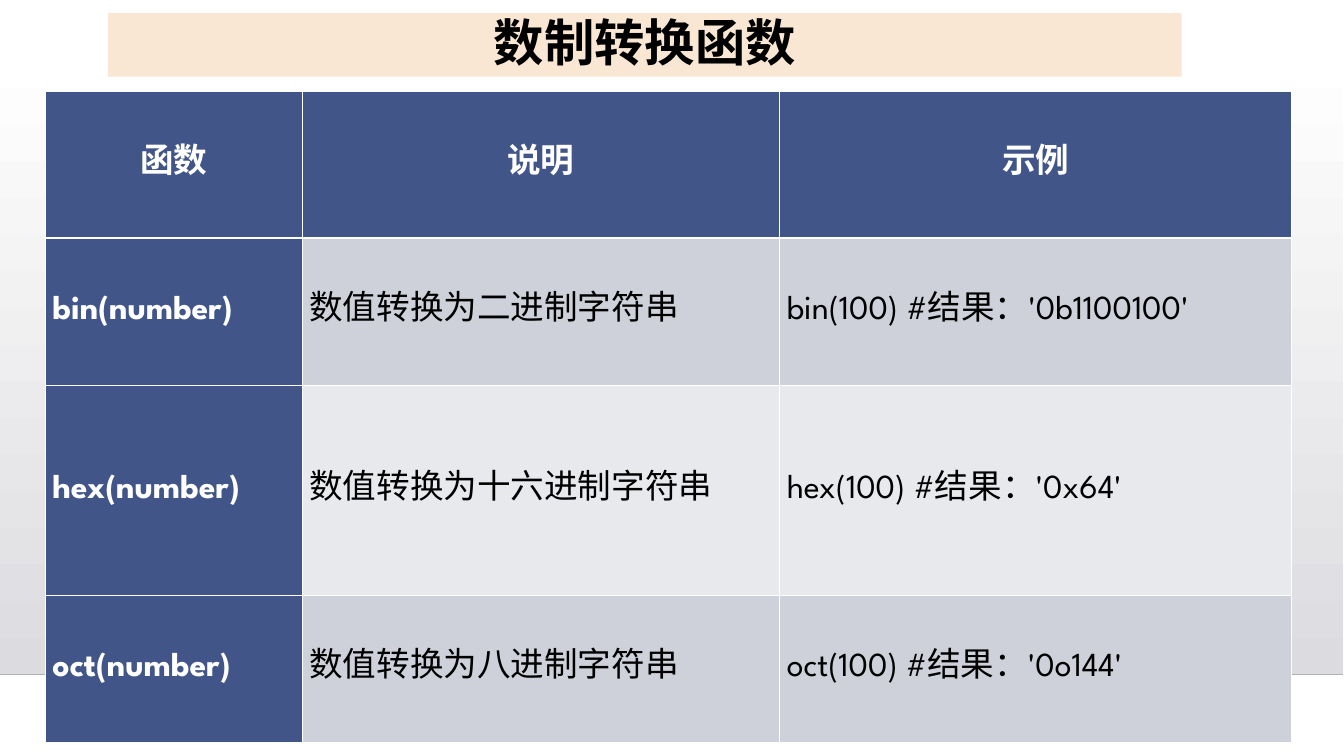
"""Build a slide with a table of number base conversion functions."""
from dataclasses import dataclass

from lxml import etree
from pptx import Presentation
from pptx.dml.color import RGBColor
from pptx.enum.shapes import MSO_CONNECTOR, MSO_SHAPE
from pptx.enum.text import MSO_ANCHOR, MSO_AUTO_SIZE, PP_ALIGN
from pptx.oxml.ns import qn
from pptx.util import Inches, Pt

RECTANGLE, STRAIGHT = MSO_SHAPE.RECTANGLE, MSO_CONNECTOR.STRAIGHT
MIDDLE, NO_AUTOFIT = MSO_ANCHOR.MIDDLE, MSO_AUTO_SIZE.NONE
CENTER, JUSTIFY = PP_ALIGN.CENTER, PP_ALIGN.JUSTIFY


@dataclass(frozen=True)
class Theme:
    """Colours, font and type sizes of the slide."""
    font: str = "League Spartan"
    title_size: int = 36
    table_size: int = 24
    white: str = "FFFFFF"
    black: str = "000000"
    backdrop: str = "DCDCE0"
    rule: str = "B0B0B3"
    title_fill: str = "F9E7D3"
    header: str = "415588"
    bands: tuple = ("CFD1DA", "E8E9ED")


THEME = Theme()


def format_text(paragraph, size, color, bold, alignment):
    """Apply alignment and font to a paragraph and its runs."""
    paragraph.alignment = alignment
    for run in paragraph.runs:
        run.font.size = Pt(size)
        run.font.bold = bold
        run.font.color.rgb = RGBColor.from_string(color)
        run.font.name = THEME.font
        east_asian = etree.SubElement(run.font._element, qn("a:ea"))
        east_asian.set("typeface", THEME.font)


def set_borders(cell, widths):
    """Draw white cell borders, in left, right, top, bottom order."""
    properties = cell._tc.get_or_add_tcPr()
    for index, (side, width) in enumerate(zip("LRTB", widths)):
        border = etree.Element(qn(f"a:ln{side}"), w=str(Pt(width)))
        fill = etree.SubElement(border, qn("a:solidFill"))
        etree.SubElement(fill, qn("a:srgbClr"), val=THEME.white)
        properties.insert(index, border)


presentation = Presentation()
presentation.slide_width = Inches(13.34)
presentation.slide_height = Inches(7.5)
slide = presentation.slides.add_slide(presentation.slide_layouts[5])

backdrop = slide.shapes.add_shape(RECTANGLE, 0, Inches(0.51), Inches(13.33), Inches(6.18))
backdrop.shadow.inherit = False
backdrop.line.fill.background()
backdrop.fill.gradient()
backdrop.fill.gradient_angle = 270
for stop, color in zip(backdrop.fill.gradient_stops, (THEME.white, THEME.backdrop)):
    stop.color.rgb = RGBColor.from_string(color)

floor_line = slide.shapes.add_connector(STRAIGHT, 0, Inches(6.69), Inches(13.33), Inches(6.69))
floor_line.line.color.rgb = RGBColor.from_string(THEME.rule)
floor_line.line.width = Pt(1)
etree.SubElement(floor_line.element.spPr, qn("a:effectLst"))

title = slide.shapes.title
floor_line.element.addnext(title.element)
title.left, title.top = Inches(1.07), Inches(0.13)
title.width, title.height = Inches(10.66), Inches(0.63)
title.fill.solid()
title.fill.fore_color.rgb = RGBColor.from_string(THEME.title_fill)
title.text_frame.text = "数制转换函数"
title.text_frame.auto_size = NO_AUTOFIT
title.text_frame.vertical_anchor = MIDDLE
title_paragraph = title.text_frame.paragraphs[0]
title_paragraph.line_spacing = 0.9
format_text(title_paragraph, THEME.title_size, THEME.black, True, CENTER)

functions = [
    ("函数", "说明", "示例"),
    ("bin(number)", "数值转换为二进制字符串", "bin(100) #结果：'0b1100100'"),
    ("hex(number)", "数值转换为十六进制字符串", "hex(100) #结果：'0x64'"),
    ("oct(number)", "数值转换为八进制字符串", "oct(100) #结果：'0o144'"),
]
column_widths = (2.55, 4.74, 5.08)
row_heights = (1.45, 1.46, 2.09, 1.45)
table = slide.shapes.add_table(
    len(functions), len(column_widths), Inches(0.45), Inches(0.91),
    Inches(sum(column_widths)), Inches(sum(row_heights))).table
for column, width in zip(table.columns, column_widths):
    column.width = Inches(width)
for row, height in zip(table.rows, row_heights):
    row.height = Inches(height)

for row_index, texts in enumerate(functions):
    for column_index, text in enumerate(texts):
        is_header = row_index == 0 or column_index == 0
        cell = table.cell(row_index, column_index)
        cell.text_frame.text = text
        cell.vertical_anchor = MIDDLE
        cell.margin_left = cell.margin_right = Inches(0.07)
        cell.margin_top = cell.margin_bottom = Inches(0.05)
        cell.fill.solid()
        fill_color = THEME.header if is_header else THEME.bands[(row_index - 1) % 2]
        cell.fill.fore_color.rgb = RGBColor.from_string(fill_color)
        top_width = 1.47 if row_index == 1 else 0.45
        bottom_width = 1.47 if row_index == 0 else 0.45
        set_borders(cell, (0.45, 0.45, top_width, bottom_width))
        format_text(
            cell.text_frame.paragraphs[0], THEME.table_size,
            THEME.white if is_header else THEME.black, is_header,
            CENTER if row_index == 0 else JUSTIFY)

presentation.save("out.pptx")
